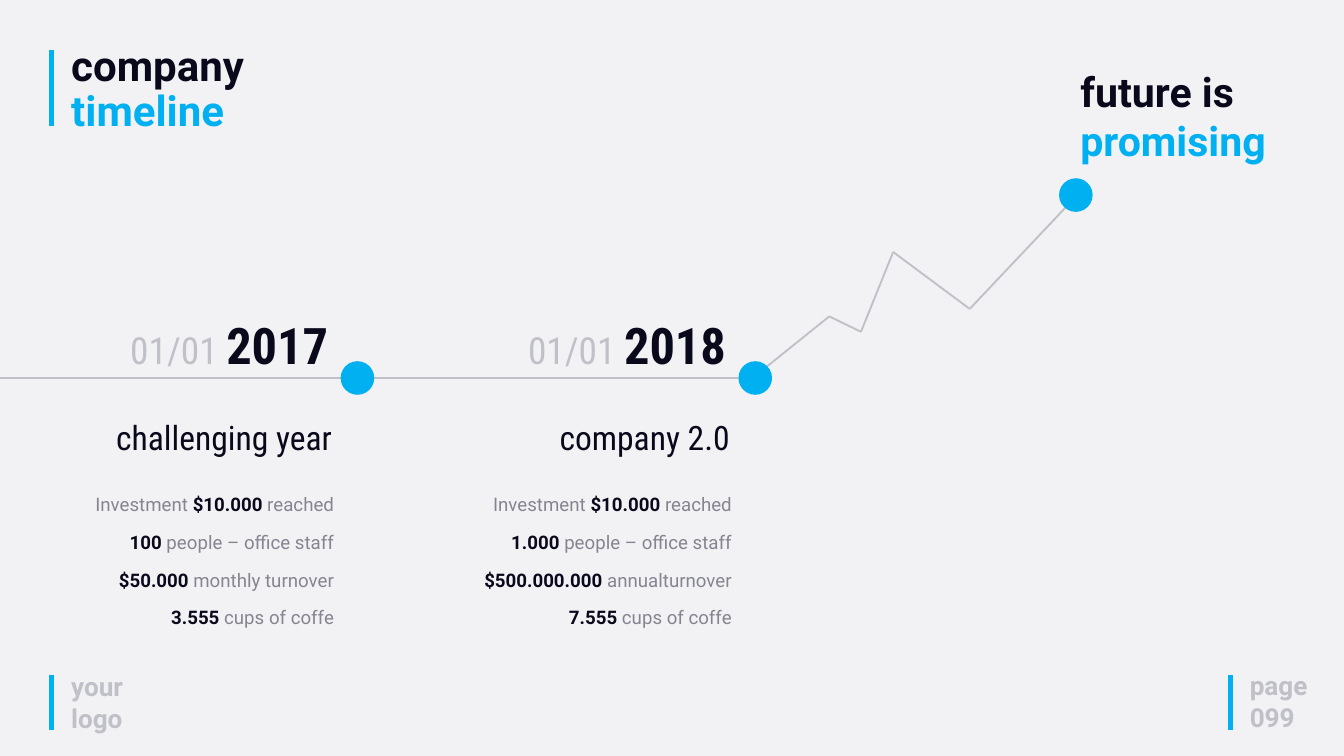
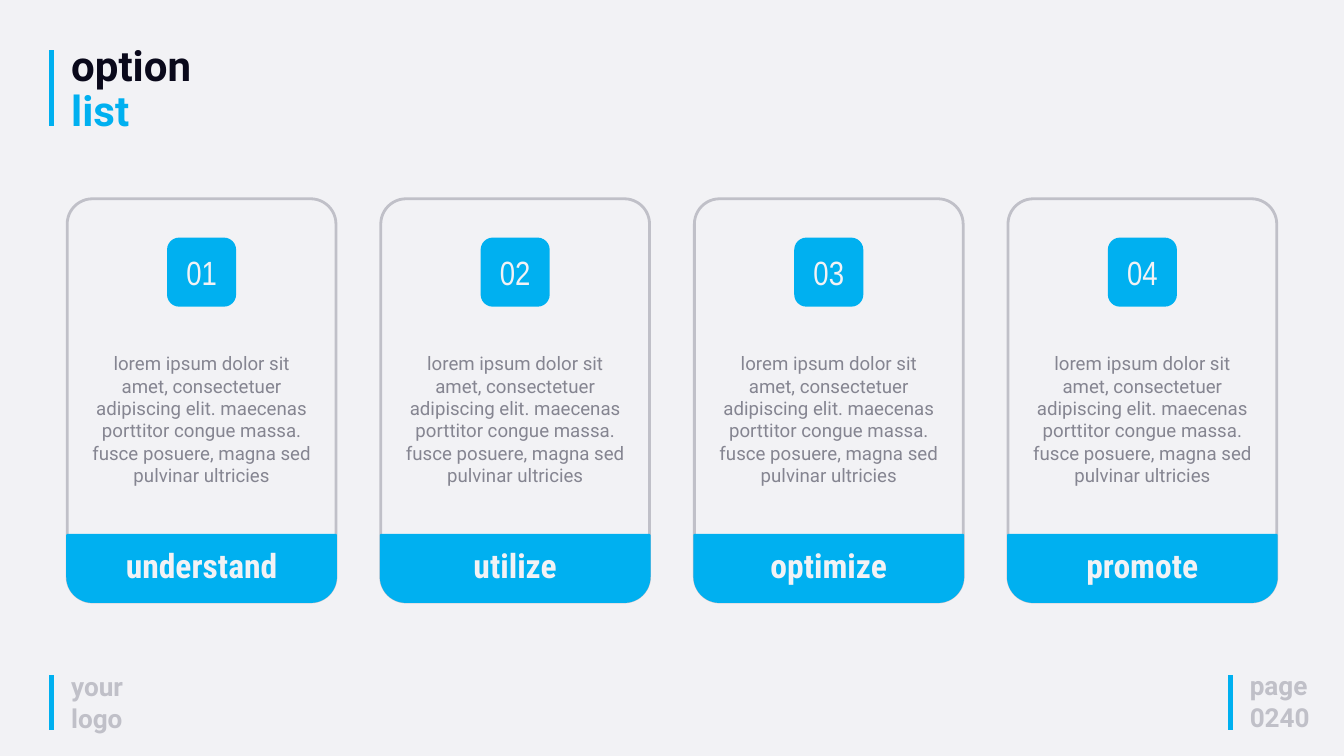
"""Build a two-slide deck with a company timeline and an option list."""
from dataclasses import dataclass
from itertools import pairwise

from lxml.etree import SubElement
from pptx import Presentation
from pptx.dml.color import RGBColor
from pptx.enum.shapes import MSO_CONNECTOR, MSO_SHAPE as Shape
from pptx.enum.text import MSO_ANCHOR as Anchor, MSO_AUTO_SIZE as AutoSize, PP_ALIGN as Align
from pptx.oxml.ns import qn
from pptx.util import Pt


@dataclass(frozen=True)
class Theme:
    paper: RGBColor = RGBColor(0xF2, 0xF2, 0xF5)
    ink: RGBColor = RGBColor(0x0A, 0x09, 0x1B)
    accent: RGBColor = RGBColor(0x00, 0xB0, 0xF0)
    pale: RGBColor = RGBColor(0xC0, 0xC0, 0xC8)
    grey: RGBColor = RGBColor(0x85, 0x85, 0x91)
    sans: str = "Roboto"
    condensed: str = "Roboto Condensed"
    narrow: str = "Arial Narrow"
    year: int = 54
    title: int = 45
    callout: int = 44
    date: int = 40
    heading: int = 36
    footer: int = 28
    body: int = 20


@dataclass(frozen=True)
class Run:
    text: str
    color: RGBColor
    size: int | None = None
    bold: bool | None = None


class Deck:
    def __init__(self, theme):
        self.theme = theme
        self.prs = Presentation()
        self.prs.slide_width, self.prs.slide_height = Pt(1440), Pt(810)
        fill = self.prs.slide_master.background.fill
        fill.solid()
        fill.fore_color.rgb = theme.paper

    def slide(self, first, second, page):
        t = self.theme
        self.s = self.prs.slides.add_slide(self.prs.slide_layouts[5])
        for x, top, bottom in ((55.4, 723.6, 782), (1318.3, 723.6, 782), (55.4, 54, 135.4)):
            self.line((x, top), (x, bottom), t.accent, 5)
        self.title(first, second)
        self.text(69.1, 715, 85.7, 75, [[Run("your logo", t.pale)]], t.footer, bold=True)
        self.text(1332, 714.2, 108, 75, [[Run("page", t.pale)], [Run(page, t.pale)]],
                  t.footer, bold=True)

    def title(self, first, second):
        t = self.theme
        sp = self.s.shapes.title
        sp.left, sp.top, sp.width, sp.height = Pt(69.1), Pt(44.6), Pt(651), Pt(102)
        tf = sp.text_frame
        tf.auto_size = AutoSize.NONE
        tf.vertical_anchor = Anchor.TOP
        p = tf.paragraphs[0]
        p.alignment, p.line_spacing = Align.LEFT, 0.9
        self.font(p, t.title, t.sans, True)
        self.run(p, Run(first, t.ink))
        p.add_line_break()
        self.run(p, Run(second, t.accent))

    def font(self, p, size, name, bold):
        p.font.size, p.font.name, p.font.bold = Pt(size), name, bold

    def run(self, p, run):
        r = p.add_run()
        r.text = run.text
        r.font.color.rgb = run.color
        if run.size:
            r.font.size = Pt(run.size)
        if run.bold is not None:
            r.font.bold = run.bold

    def fill_text(self, tf, paragraphs, size, name, bold, align):
        tf.word_wrap = True
        for i, runs in enumerate(paragraphs):
            p = tf.add_paragraph() if i else tf.paragraphs[0]
            p.alignment = align
            self.font(p, size, name, bold)
            for run in runs:
                self.run(p, run)

    def text(self, x, y, w, h, paragraphs, size, name=None, bold=False, align=Align.LEFT):
        sp = self.s.shapes.add_textbox(Pt(x), Pt(y), Pt(w), Pt(h))
        self.fill_text(sp.text_frame, paragraphs, size, name or self.theme.sans, bold, align)

    def shape(self, kind, x, y, w, h, fill, line=None, width=2, adjust=()):
        sp = self.s.shapes.add_shape(kind, Pt(x), Pt(y), Pt(w), Pt(h))
        sp.shadow.inherit = False
        sp.fill.solid()
        sp.fill.fore_color.rgb = fill
        if line is None:
            sp.line.fill.background()
        else:
            sp.line.color.rgb, sp.line.width = line, Pt(width)
        for i, value in enumerate(adjust):
            sp.adjustments[i] = value
        return sp

    def label(self, sp, text, name, bold=False):
        tf = sp.text_frame
        tf.vertical_anchor = Anchor.MIDDLE
        self.fill_text(tf, [[Run(text, self.theme.paper)]], self.theme.heading, name, bold,
                       Align.CENTER)

    def line(self, start, end, color, width=2):
        c = self.s.shapes.add_connector(MSO_CONNECTOR.STRAIGHT, *map(Pt, (*start, *end)))
        c.line.color.rgb, c.line.width = color, Pt(width)
        SubElement(c._element.spPr, qn("a:effectLst"))

    def dot(self, x, y):
        self.shape(Shape.OVAL, x, y, 36, 36, self.theme.accent)

    def milestone(self, x, year, heading, stats):
        t = self.theme
        self.dot(x, 387)
        self.text(x - 282, 333.4, 275.8, 72.7,
                  [[Run("01/01 ", t.pale), Run(year, t.ink, t.year, True)]],
                  t.date, t.condensed, align=Align.RIGHT)
        self.text(x - 303.8, 442.8, 301.7, 51, [[Run(heading, t.ink)]],
                  t.heading, t.condensed, align=Align.RIGHT)
        for i, stat in enumerate(stats):
            runs = [Run(part, t.ink if j % 2 else t.grey, bold=bool(j % 2))
                    for j, part in enumerate(stat.split("*")) if part]
            self.text(x - 355.7, 524.9 + 40.3 * i, 355.7, 31.7, [runs], t.body,
                      align=Align.RIGHT)

    def card(self, x, number, name, text):
        t = self.theme
        self.shape(Shape.ROUNDED_RECTANGLE, x, 213, 288, 432, t.paper, t.pale, 3, [0.094])
        band = self.shape(Shape.ROUND_2_SAME_RECTANGLE, x, 573, 288, 72, t.accent, t.accent,
                          adjust=[0, 0.375])
        self.label(band, name, t.condensed, True)
        self.text(x + 19, 373.7, 250, 152.6, [[Run(text, t.grey)]], t.body,
                  align=Align.CENTER)
        tile = self.shape(Shape.ROUNDED_RECTANGLE, x + 108, 255.6, 72, 72, t.accent, t.accent)
        self.label(tile, number, t.narrow)


def timeline(deck):
    t = deck.theme
    deck.slide("company", "timeline", "099")
    trend = [(806.4, 405), (888.5, 339), (922.5, 355.5), (957, 270), (1039, 331),
             (1150.5, 213)]
    for start, end in pairwise(trend):
        deck.line(start, end, t.pale)
    deck.dot(1134.7, 191)
    deck.text(1150.5, 67.7, 286.6, 113.8,
              [[Run("future is", t.ink)], [Run("promising", t.accent)]],
              t.callout, bold=True)
    for start, end in ((0, 365), (401, 791)):
        deck.line((start, 405), (end, 405), t.pale)
    milestones = [
        ("2017", "challenging year",
         ["Investment *$10.000 *reached", "*100 *people – office staff",
          "*$50.000* monthly turnover", "*3.555* cups of coffe"]),
        ("2018", "company 2.0",
         ["Investment *$10.000 *reached", "*1.000 *people – office staff",
          "*$500.000.000 *annualturnover", "*7.555* cups of coffe"]),
    ]
    for i, milestone in enumerate(milestones):
        deck.milestone(365 + 426.2 * i, *milestone)


def options(deck):
    deck.slide("option", "list", "0240")
    text = ("lorem ipsum dolor sit amet, consectetuer adipiscing elit. maecenas porttitor "
            "congue massa. fusce posuere, magna sed pulvinar ultricies")
    for i, name in enumerate(("understand", "utilize", "optimize", "promote")):
        deck.card(72 + 336 * i, f"{i + 1:02}", name, text)


def main():
    deck = Deck(Theme())
    timeline(deck)
    options(deck)
    deck.prs.save("out.pptx")


if __name__ == "__main__":
    main()
